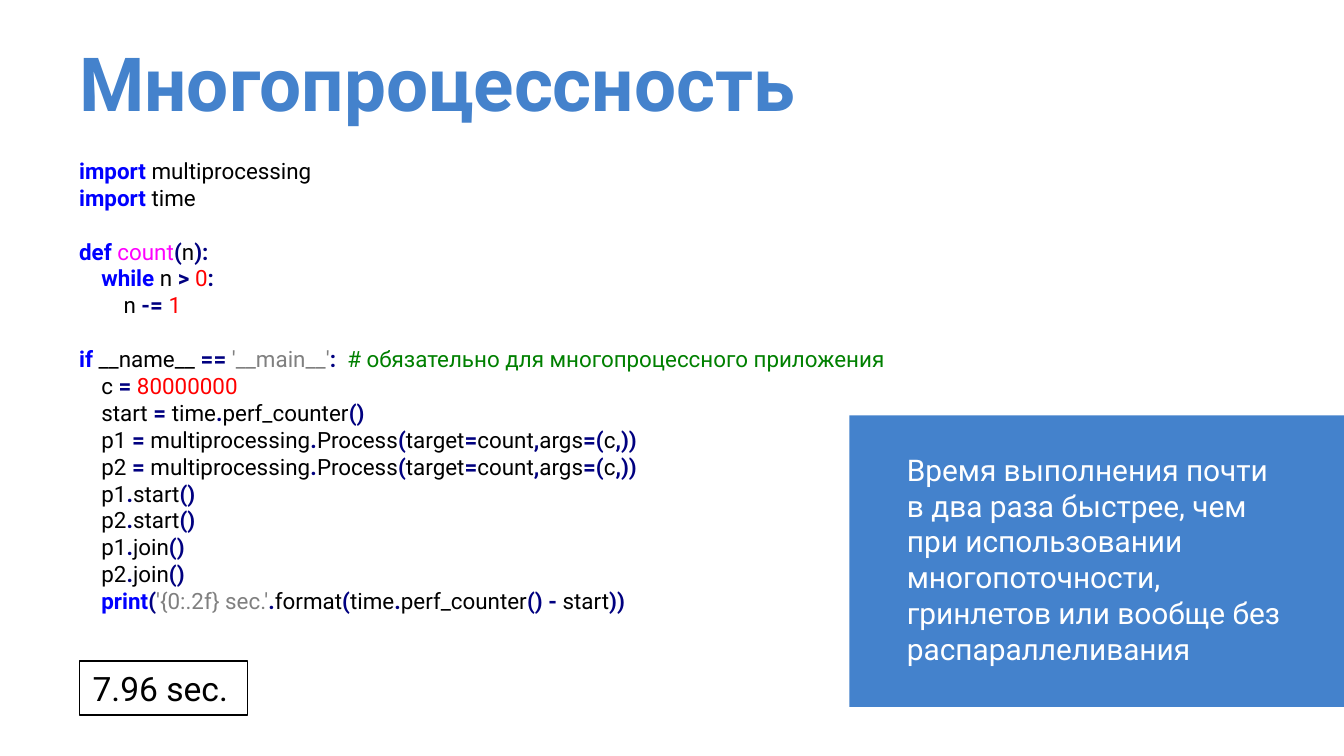
"""Build the slide on multiprocessing in Python."""
from itertools import groupby

from pptx import Presentation
from pptx.dml.color import RGBColor
from pptx.enum.shapes import MSO_SHAPE
from pptx.enum.text import MSO_ANCHOR, PP_ALIGN
from pptx.util import Inches, Pt

RECTANGLE = MSO_SHAPE.RECTANGLE
LEFT = PP_ALIGN.LEFT
TOP, MIDDLE = MSO_ANCHOR.TOP, MSO_ANCHOR.MIDDLE

FONT = "Roboto"
BLUE, WHITE, BLACK = "4482CC", "FFFFFF", "000000"
OPERATORS = "=.,:()<>-"
SYNTAX = {
    "plain": (BLACK, False),
    "keyword": ("0000FF", True),
    "operator": ("000080", True),
    "number": ("FF0000", False),
    "string": ("808080", False),
    "function": ("FF00FF", False),
    "comment": ("008000", False),
}


def color(value):
    return RGBColor.from_string(value)


def split_operators(text):
    for is_operator, chars in groupby(text, lambda char: char in OPERATORS):
        yield "".join(chars), "operator" if is_operator else "plain"


class SlideBuilder:
    def __init__(self, presentation):
        self.slide = presentation.slides.add_slide(presentation.slide_layouts[5])

    def run(self, paragraph, text, size, ink, bold=False):
        run = paragraph.add_run()
        run.text = text
        font = run.font
        font.name, font.size, font.bold = FONT, Pt(size), bold
        font.color.rgb = color(ink)

    def frame(self, shape, anchor=TOP, wrap=True):
        frame = shape.text_frame
        frame.word_wrap = wrap
        frame.vertical_anchor = anchor
        frame.paragraphs[0].alignment = LEFT
        return frame

    def title(self, text, box):
        title = self.slide.shapes.title
        title.left, title.top, title.width, title.height = map(Inches, box)
        frame = self.frame(title)
        frame.margin_top = frame.margin_bottom = Inches(0.1)
        heading = frame.paragraphs[0]
        heading.line_spacing = 0.8
        self.run(heading, text, 40, BLUE, True)

    def rectangle(self, box, fill=None, line=None):
        panel = self.slide.shapes.add_shape(RECTANGLE, *map(Inches, box))
        panel.shadow.inherit = False
        if fill:
            panel.fill.solid()
            panel.fill.fore_color.rgb = color(fill)
        else:
            panel.fill.background()
        if line:
            panel.line.color.rgb = color(line)
            panel.line.width = Pt(0.75)
        else:
            panel.line.fill.background()
        return panel

    def label(self, text, box):
        panel = self.rectangle(box, line=BLACK)
        frame = self.frame(panel, MIDDLE, wrap=False)
        self.run(frame.paragraphs[0], text, 18, BLACK)

    def paragraphs(self, box, count):
        frame = self.frame(self.slide.shapes.add_textbox(*map(Inches, box)))
        for _ in range(count - 1):
            frame.add_paragraph()
        return frame.paragraphs

    def text(self, lines, box):
        for paragraph, line in zip(self.paragraphs(box, len(lines)), lines):
            self.run(paragraph, line, 16, WHITE)

    def code(self, blocks, box):
        lines = [(line, block > 0 and row == 0)
                 for block, rows in enumerate(blocks)
                 for row, line in enumerate(rows)]
        for paragraph, (line, opens_block) in zip(self.paragraphs(box, len(lines)), lines):
            if opens_block:
                paragraph.space_before = Pt(14.4)
            for text, kind in line:
                parts = split_operators(text) if kind == "code" else [(text, kind)]
                for part, style in parts:
                    self.run(paragraph, part, 12, *SYNTAX[style])


def code_blocks():
    processes = ("p1", "p2")
    imports = [[("import", "keyword"), (f" {module}", "plain")]
               for module in ("multiprocessing", "time")]
    counter = [
        [("def ", "keyword"), ("count", "function"), ("(n):", "code")],
        [("    while", "keyword"), (" n > ", "code"), ("0", "number"), (":", "operator")],
        [("        n -= ", "code"), ("1", "number")],
    ]
    main = [
        [("if", "keyword"), (" __name__ == ", "code"), ("'__main__'", "string"),
         (":  ", "operator"),
         ("# обязательно для многопроцессного приложения", "comment")],
        [("    c = ", "code"), ("80000000", "number")],
        [("    start = time.perf_counter()", "code")],
    ]
    main += [[(f"    {name} = multiprocessing.Process(target=count,args=(c,))", "code")]
             for name in processes]
    main += [[(f"    {name}.{method}()", "code")]
             for method in ("start", "join") for name in processes]
    main.append([("    print", "keyword"), ("(", "operator"),
                 ("'{0:.2f} sec.'", "string"),
                 (".format(time.perf_counter() - start))", "code")])
    return imports, counter, main


def main():
    presentation = Presentation()
    presentation.slide_width, presentation.slide_height = Inches(10), Inches(5.625)
    builder = SlideBuilder(presentation)
    builder.title("Многопроцессность", (0.49, 0.3, 8.88, 0.76))
    builder.rectangle((6.32, 3.09, 3.68, 2.17), fill=BLUE)
    builder.code(code_blocks(), (0.49, 1.12, 9.28, 3.6))
    builder.text(
        ["Время выполнения почти",
         "в два раза быстрее, чем при использовании многопоточности, "
         "гринлетов или вообще без распараллеливания"],
        (6.65, 3.31, 3.03, 1.72))
    builder.label("7.96 sec.", (0.59, 4.92, 1.25, 0.4))
    presentation.save("out.pptx")


if __name__ == "__main__":
    main()
